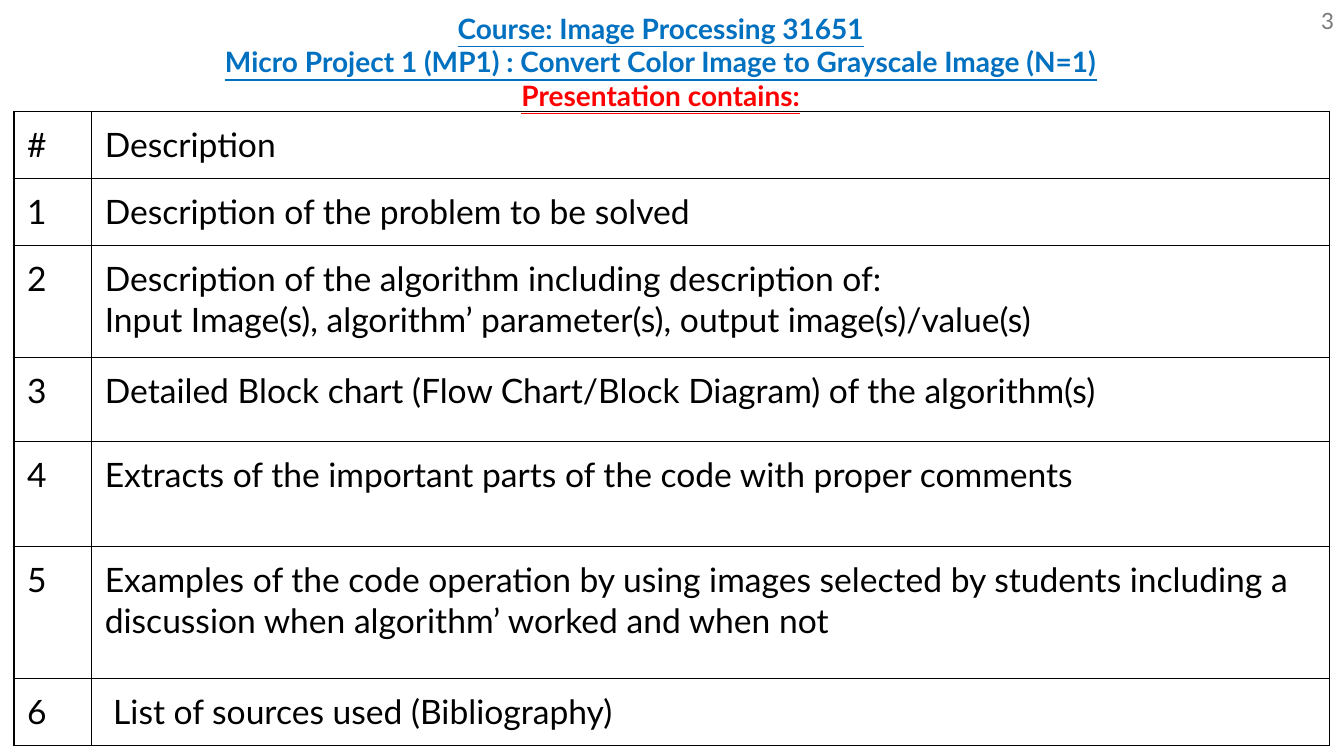
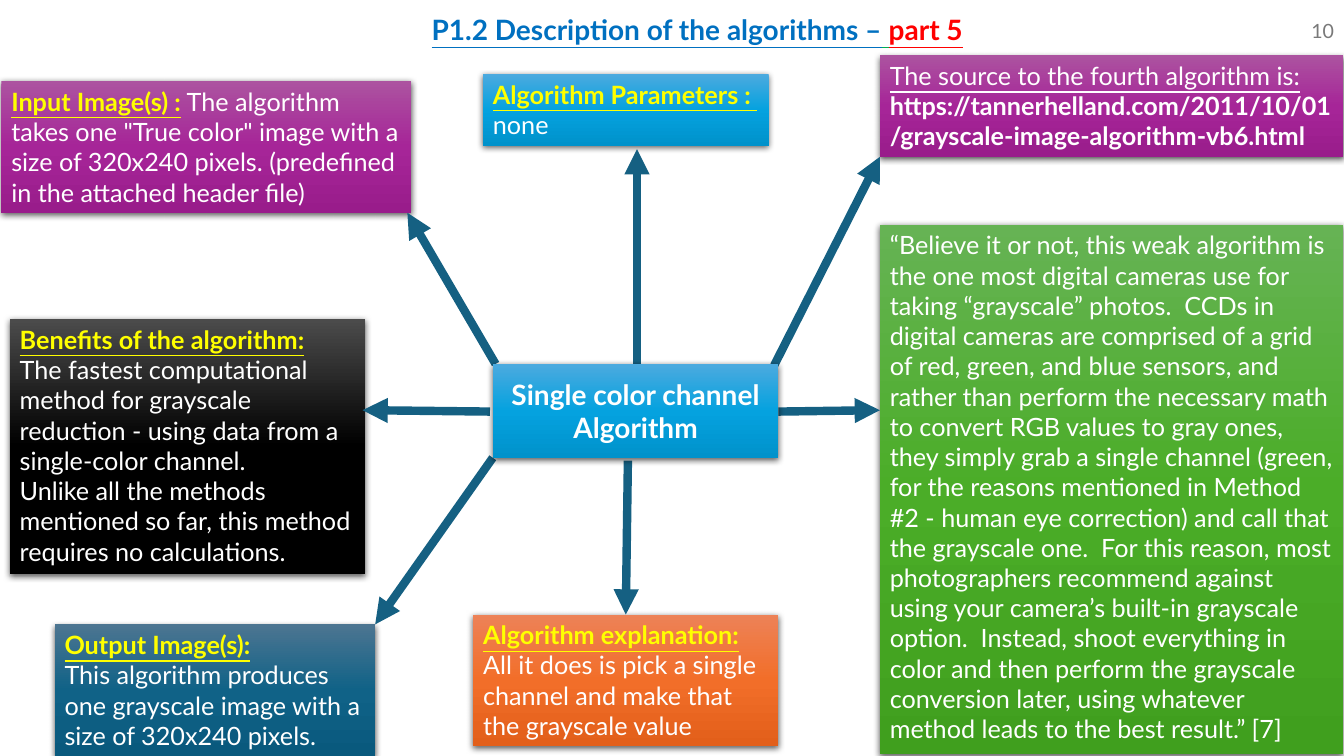
from lxml import etree
from pptx import Presentation
from pptx.dml.color import RGBColor as Rgb
from pptx.enum.shapes import MSO_CONNECTOR as Conn, MSO_SHAPE as Shp
from pptx.enum.text import MSO_ANCHOR as Anc, PP_ALIGN as Al
from pptx.oxml.ns import qn
from pptx.util import Pt

HUE = {
    "blue": "0070C0", "red": "FF0000", "green": "00B050", "gray": "797979",
    "black": "000000", "white": "FFFFFF", "gold": "FFFF00", "teal": "156082",
}

# Box fills, top to bottom
FADE = {
    "plum": ("AC53A0", "A62598", "991C8B"),
    "sky": ("4CAADF", "05A2DF", "0092CB"),
    "rust": ("ED8257", "F26E29", "E25F1A"),
    "navy": ("4C7591", "106287", "09597D"),
    "coal": ("4B4B4B", "000000", "000000"),
    "leaf": ("66B354", "4BAD28", "409F1E"),
}

# Text looks: hue and font values
LOOK = {
    "title": ("blue", dict(size=Pt(20), bold=True, underline=True)),
    "gap": ("green", dict(size=Pt(20), bold=True, underline=True)),
    "mark": ("red", dict(size=Pt(20), bold=True, underline=True)),
    "cell": ("black", dict(size=Pt(24), bold=False)),
    "head": ("gold", dict(size=Pt(18), bold=True, underline=True)),
    "body": ("white", dict(size=Pt(18), bold=False)),
    "under": ("white", dict(size=Pt(18), bold=False, underline=True)),
    "link": ("white", dict(size=Pt(18), bold=True)),
    "core": ("white", dict(size=Pt(20), bold=True)),
    "page14": ("gray", dict(size=Pt(14))),
    "page16": ("gray", dict(size=Pt(16))),
}
FONT = "Lato"
PAD = 9.4
SIDES = ("margin_left", "margin_top", "margin_right", "margin_bottom")

ROWS = [
    (48, "#", ["Description"]),
    (48, "1", ["Description of the problem to be solved"]),
    (80, "2", ["Description of the algorithm including description of:",
               "Input Image(s), algorithm’ parameter(s), output image(s)/value(s)"]),
    (60, "3", ["Detailed Block chart (Flow Chart/Block Diagram) of the algorithm(s)"]),
    (75, "4", ["Extracts of the important parts of the code with proper comments"]),
    (94, "5", ["Examples of the code operation by using images selected by students "
               "including a discussion when algorithm’ worked and when not"]),
    (48, "6", ["List of sources used (Bibliography)"]),
]

# Each note: box, fill, paragraphs of (text, look), arrow from and to
NOTES = [
    ((1, 58, 293, 94), "plum",
     [[("Input Image(s) :", "head"),
       (" The algorithm takes one \"True color\" image with a size of 320x240 "
        "pixels. (predefined in the attached header file)", "body")]],
     (354, 260), (291, 152)),
    ((345, 53, 204, 51), "sky",
     [[("Algorithm Parameters : ", "head")], [("none", "body")]],
     (455, 260), (455, 106.5)),
    ((338, 439, 218, 94), "rust",
     [[("Algorithm explanation:", "head")],
      [("All it does is pick a single channel and make that the grayscale value",
        "body")]],
     (448.5, 329), (447, 439)),
    ((39, 446, 229, 94), "navy",
     [[("Output Image(s):", "head")],
      [("This algorithm produces one grayscale image with a size of 320x240 "
        "pixels.", "body")]],
     (352, 327), (268, 446)),
    ((7, 228, 254, 182), "coal",
     [[("Benefits of the algorithm:", "head")],
      [("The fastest computational method for grayscale reduction - using data "
        "from a single-color channel.", "body")],
      [("Unlike all the methods mentioned so far, this method requires no "
        "calculations.", "body")]],
     (350, 294), (259, 293)),
    ((628.5, 39.5, 331, 73), "plum",
     [[("The source to the fourth algorithm is: ", "under"),
       ("https://tannerhelland.com/2011/10/01/grayscale-image-algorithm-vb6.html",
        "link")]],
     (553, 261), (628.5, 112)),
    ((628.5, 160.5, 331, 378), "leaf",
     [[("“Believe it or not, this weak algorithm is the one most digital cameras "
        "use for taking “grayscale” photos.  CCDs in digital cameras are comprised "
        "of a grid of red, green, and blue sensors, and rather than perform the "
        "necessary math to convert RGB values to gray ones, they simply grab a "
        "single channel (green, for the reasons mentioned in Method #2 - human eye "
        "correction) and call that the grayscale one.  For this reason, most "
        "photographers recommend against using your camera’s built-in grayscale "
        "option.  Instead, shoot everything in color and then perform the "
        "grayscale conversion later, using whatever method leads to the best "
        "result.” [7]", "body")]],
     (556, 294), (628.5, 293)),
]


def pts(*nums):
    return [Pt(n) for n in nums]


def sub(node, tag, **vals):
    return etree.SubElement(node, qn(tag), {k: str(v) for k, v in vals.items()})


def put(item, vals):
    for key, val in vals.items():
        setattr(item, key, val)


def write(frame, paras, align=Al.LEFT):
    """Fill a frame with paragraphs of (text, look) runs."""
    for i, runs in enumerate(paras):
        para = frame.paragraphs[0] if i == 0 else frame.add_paragraph()
        para.alignment = align
        for text, look in runs:
            hue, vals = LOOK[look]
            for j, line in enumerate(text.split("\n")):
                if j:
                    para.add_line_break()
                run = para.add_run()
                run.text = line
                put(run.font, {"name": FONT, **vals})
                run.font.color.rgb = Rgb.from_string(HUE[hue])


def label(slide, box, paras, align, pad, anchor=Anc.TOP):
    frame = slide.shapes.add_textbox(*pts(*box)).text_frame
    put(frame, {"word_wrap": True, "vertical_anchor": anchor,
                **dict.fromkeys(SIDES, Pt(pad))})
    write(frame, paras, align)


def title(slide, box, paras):
    label(slide, box, paras, Al.CENTER, PAD)


def page(slide, box, num, look):
    label(slide, box, [[(num, look)]], Al.RIGHT, 7.2, Anc.MIDDLE)


def edge(cell):
    """Thin black border on all sides, no fill."""
    props = cell._tc.get_or_add_tcPr()
    for tag in ("a:lnL", "a:lnR", "a:lnT", "a:lnB"):
        line = sub(props, tag, w=Pt(1))
        sub(sub(line, "a:solidFill"), "a:srgbClr", val=HUE["black"])
    cell.fill.background()


def grid(slide, box, cols, rows):
    table = slide.shapes.add_table(len(rows), len(cols), *pts(*box)).table
    put(table, {"first_row": False, "horz_banding": False})
    for col, wide in zip(table.columns, cols):
        col.width = Pt(wide)
    for row, (high, num, lines) in zip(table.rows, rows):
        row.height = Pt(high)
        for cell, texts in zip(row.cells, ([num], lines)):
            put(cell, dict.fromkeys(SIDES, Pt(PAD)))
            write(cell.text_frame, [[(t, "cell")] for t in texts])
            edge(cell)
    # The last entry sits slightly further in
    table.cell(len(rows) - 1, 1).margin_left = Pt(PAD + 6)


def card(slide, box, fade, paras, align=Al.LEFT, anchor=Anc.TOP):
    """Shaded box with a soft shadow."""
    shape = slide.shapes.add_shape(Shp.RECTANGLE, *pts(*box))
    shape.line.fill.background()
    shape.fill.gradient()
    shape.fill.gradient_angle = 270
    props = shape._element.spPr
    stops = props.find(qn("a:gradFill")).find(qn("a:gsLst"))
    for stop in list(stops):
        stops.remove(stop)
    for i, hue in enumerate(FADE[fade]):
        sub(sub(stops, "a:gs", pos=i * 50000), "a:srgbClr", val=hue)
    shape.shadow.inherit = False
    glow = sub(props.find(qn("a:effectLst")), "a:outerShdw", blurRad=Pt(4.5),
               dist=Pt(1.5), dir=5400000, rotWithShape=0)
    sub(sub(glow, "a:srgbClr", val=HUE["black"]), "a:alpha", val=63000)
    put(shape.text_frame, {"word_wrap": True, "vertical_anchor": anchor})
    write(shape.text_frame, paras, align)


def arrow(slide, start, end):
    line = slide.shapes.add_connector(Conn.STRAIGHT, *pts(*start, *end))
    line.line.width = Pt(6)
    line.line.color.rgb = Rgb.from_string(HUE["teal"])
    sub(line.line._get_or_add_ln(), "a:tailEnd", type="triangle")
    sub(line._element.spPr, "a:effectLst")


def agenda(slide):
    title(slide, (122, -1.5, 700, 62), [
        [("Course: Image Processing 31651\nMicro Project 1 (MP1) : Convert Color "
          "Image to Grayscale Image (N=1)", "title")],
        [("Presentation contains:", "mark")]])
    grid(slide, (10, 79.5, 939.5, 453), (55.5, 884), ROWS)
    page(slide, (931.5, 0, 28.5, 29.5), "3", "page16")


def wheel(slide):
    page(slide, (902, 1.5, 58, 41), "10", "page14")
    title(slide, (298, -0.5, 400, 37.5), [
        [("P1.2 Description of the algorithms –", "title"), (" ", "gap"),
         ("part 5", "mark")]])
    # Notes around the hub
    for box, fade, paras, start, end in NOTES:
        card(slide, box, fade, paras)
        arrow(slide, start, end)
    card(slide, (352, 260, 204, 67), "sky",
         [[("Single color channel\nAlgorithm", "core")]], Al.CENTER, Anc.MIDDLE)


def main():
    deck = Presentation()
    put(deck, {"slide_width": Pt(960), "slide_height": Pt(540)})
    for draw in (agenda, wheel):
        draw(deck.slides.add_slide(deck.slide_layouts[6]))
    deck.save("out.pptx")


if __name__ == "__main__":
    main()
